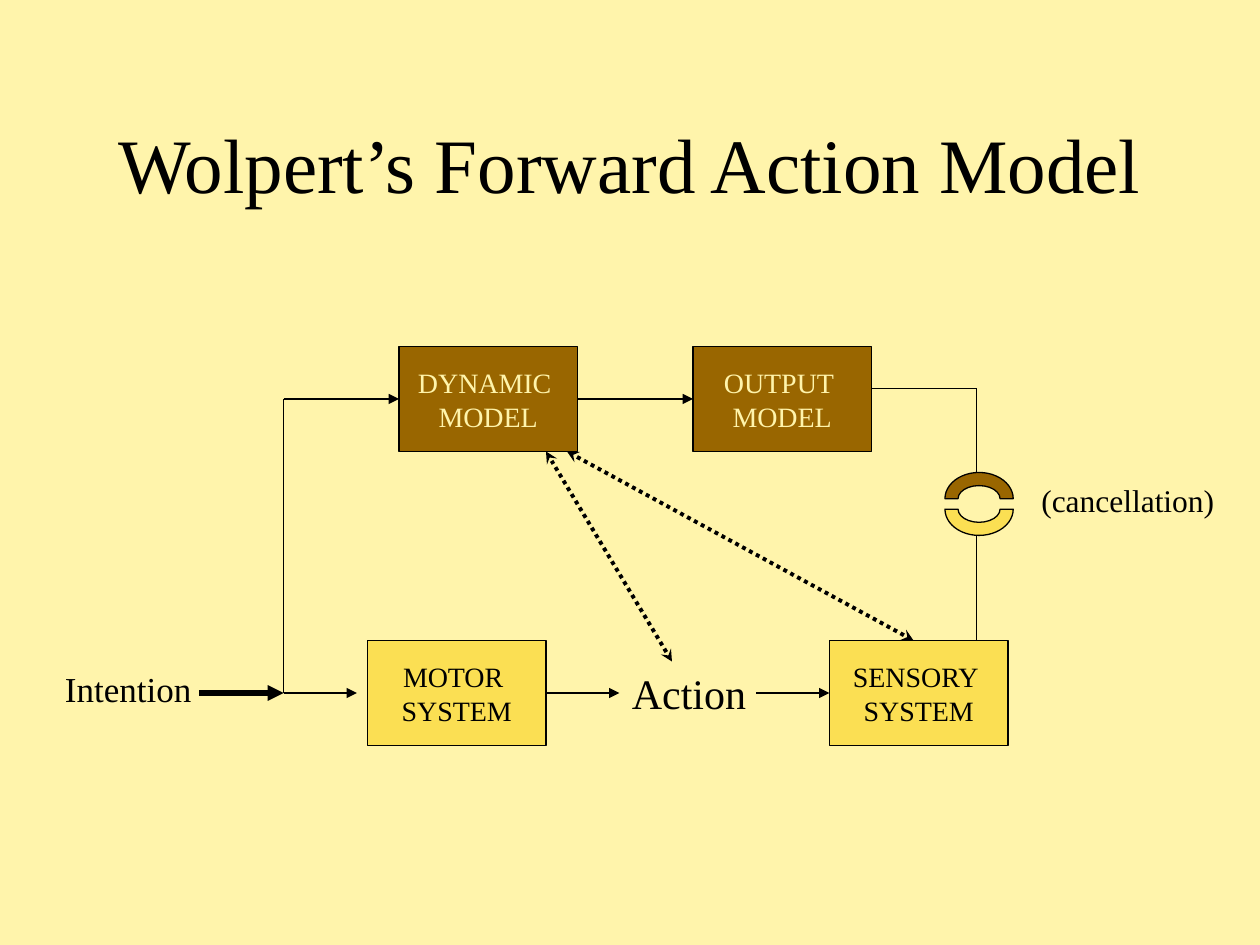
from lxml import etree
from pptx import Presentation
from pptx.dml.color import RGBColor
from pptx.enum.dml import MSO_LINE
from pptx.enum.shapes import MSO_CONNECTOR, MSO_SHAPE
from pptx.enum.text import MSO_ANCHOR, MSO_AUTO_SIZE, PP_ALIGN
from pptx.oxml.ns import qn
from pptx.util import Cm, Pt

RECT, ARC = MSO_SHAPE.RECTANGLE, MSO_SHAPE.BLOCK_ARC
STRAIGHT, DOTTED = MSO_CONNECTOR.STRAIGHT, MSO_LINE.ROUND_DOT
CENTER, LEFT = PP_ALIGN.CENTER, PP_ALIGN.LEFT
MIDDLE, TOP = MSO_ANCHOR.MIDDLE, MSO_ANCHOR.TOP
GROW, FIXED = MSO_AUTO_SIZE.SHAPE_TO_FIT_TEXT, MSO_AUTO_SIZE.NONE

THEME = {
    "font": "Times New Roman",
    "paper": "FFF4AB", "ink": "000000", "model": "996600", "system": "FBDF53",
    "title": 44, "box": 16, "action": 24, "intention": 20, "note": 18,
    "thin": 0.75, "dots": 2.25, "thick": 3,
}

# Content: all places are in grid steps, twelve to the inch
TITLE = ("Wolpert’s Forward Action Model", (9, 8, 102, 15))
BOX_W, BOX_H = 17, 10
BOXES = {  # name: text, left, top, fill, text colour
    "motor": ("MOTOR \nSYSTEM", 35, 61, "system", "ink"),
    "sensory": ("SENSORY \nSYSTEM", 79, 61, "system", "ink"),
    "dynamic": ("DYNAMIC \nMODEL", 38, 33, "model", "paper"),
    "output": ("OUTPUT \nMODEL", 66, 33, "model", "paper"),
}
LABELS = [  # text, place, size, wrap
    ("Action", (59, 63, 13.3, 6), "action", False),
    ("Intention", (5, 63, 15, 5.25), "intention", True),
    ("(cancellation)", (98, 45.25, 19.2, 4.8), "note", True),
]
ARCS = [("model", 45, False), ("system", 46, True)]  # fill, top, flipped
LINES = [  # from, to, format
    ((27, 66), (34, 66), {"tail": "triangle"}),
    ((52, 66), (59, 66), {"tail": "triangle", "begin": ("motor", 3)}),
    ((72, 66), (79, 66), {"tail": "triangle", "end": ("sensory", 1)}),
    ((27, 66), (27, 38), {}),
    ((27, 38), (38, 38), {"tail": "triangle", "end": ("dynamic", 1)}),
    ((19, 66), (27, 66), {"tail": "triangle", "width": "thick"}),
    ((55, 38), (66, 38), {"tail": "triangle", "begin": ("dynamic", 3), "end": ("output", 1)}),
    ((83, 37), (93, 37), {}),
    ((93, 37), (93, 45), {}),
    ((93, 61), (93, 51), {}),
    ((64, 63), (52, 43), {"head": "stealth", "tail": "stealth", "width": "dots", "dash": DOTTED}),
    ((87, 61), (54, 43), {"head": "stealth", "tail": "stealth", "width": "dots", "dash": DOTTED}),
]


def grid(*steps):
    return [Cm(2.54 * n / 12) for n in steps]


def color(name):
    return RGBColor.from_string(THEME[name])


def set_text(sp, text, size, ink="ink", align=LEFT, anchor=TOP, wrap=False, fit=FIXED):
    tf = sp.text_frame
    tf.word_wrap, tf.auto_size, tf.vertical_anchor = wrap, fit, anchor
    p = tf.paragraphs[0]
    p.text, p.alignment = text, align
    for r in p.runs:
        r.font.name, r.font.size = THEME["font"], Pt(THEME[size])
        r.font.color.rgb = color(ink)


def add_shape(s, kind, place, fill):
    sp = s.shapes.add_shape(kind, *grid(*place))
    sp.shadow.inherit = False
    sp.fill.solid()
    sp.fill.fore_color.rgb = color(fill)
    sp.line.color.rgb = color("ink")
    sp.line.width = Pt(THEME["thin"])
    return sp


def add_line(s, boxes, start, stop, head=None, tail=None, width="thin",
             dash=None, begin=None, end=None):
    cx = s.shapes.add_connector(STRAIGHT, *grid(*start, *stop))
    if begin:
        cx.begin_connect(boxes[begin[0]], begin[1])
    if end:
        cx.end_connect(boxes[end[0]], end[1])
    cx.line.color.rgb = color("ink")
    cx.line.width = Pt(THEME[width])
    if dash:
        cx.line.dash_style = dash
    sp_pr = cx._element.spPr
    for tag, arrow in (("a:headEnd", head), ("a:tailEnd", tail)):
        if arrow:
            etree.SubElement(sp_pr.find(qn("a:ln")), qn(tag), type=arrow)
    etree.SubElement(sp_pr, qn("a:effectLst"))


def main():
    prs = Presentation()
    prs.slide_width, prs.slide_height = grid(120, 90)
    s = prs.slides.add_slide(prs.slide_layouts[5])
    s.background.fill.solid()
    s.background.fill.fore_color.rgb = color("paper")

    # Title
    text, place = TITLE
    title = s.shapes.title
    title.left, title.top, title.width, title.height = grid(*place)
    set_text(title, text, "title", align=CENTER, anchor=MIDDLE, wrap=True)

    # Boxes
    boxes = {}
    for name, (text, left, top, fill, ink) in BOXES.items():
        boxes[name] = add_shape(s, RECT, (left, top, BOX_W, BOX_H), fill)
        set_text(boxes[name], text, "box", ink=ink, align=CENTER, anchor=MIDDLE)

    # Lines and arrows
    for start, stop, style in LINES:
        add_line(s, boxes, start, stop, **style)

    # Cancellation ring
    for fill, top, flipped in ARCS:
        sp = add_shape(s, ARC, (90, top, 6.5, 5), fill)
        if flipped:
            sp._element.spPr.xfrm.set("flipV", "1")

    # Labels
    for text, place, size, wrap in LABELS:
        set_text(s.shapes.add_textbox(*grid(*place)), text, size, wrap=wrap, fit=GROW)

    prs.save("out.pptx")


if __name__ == "__main__":
    main()
